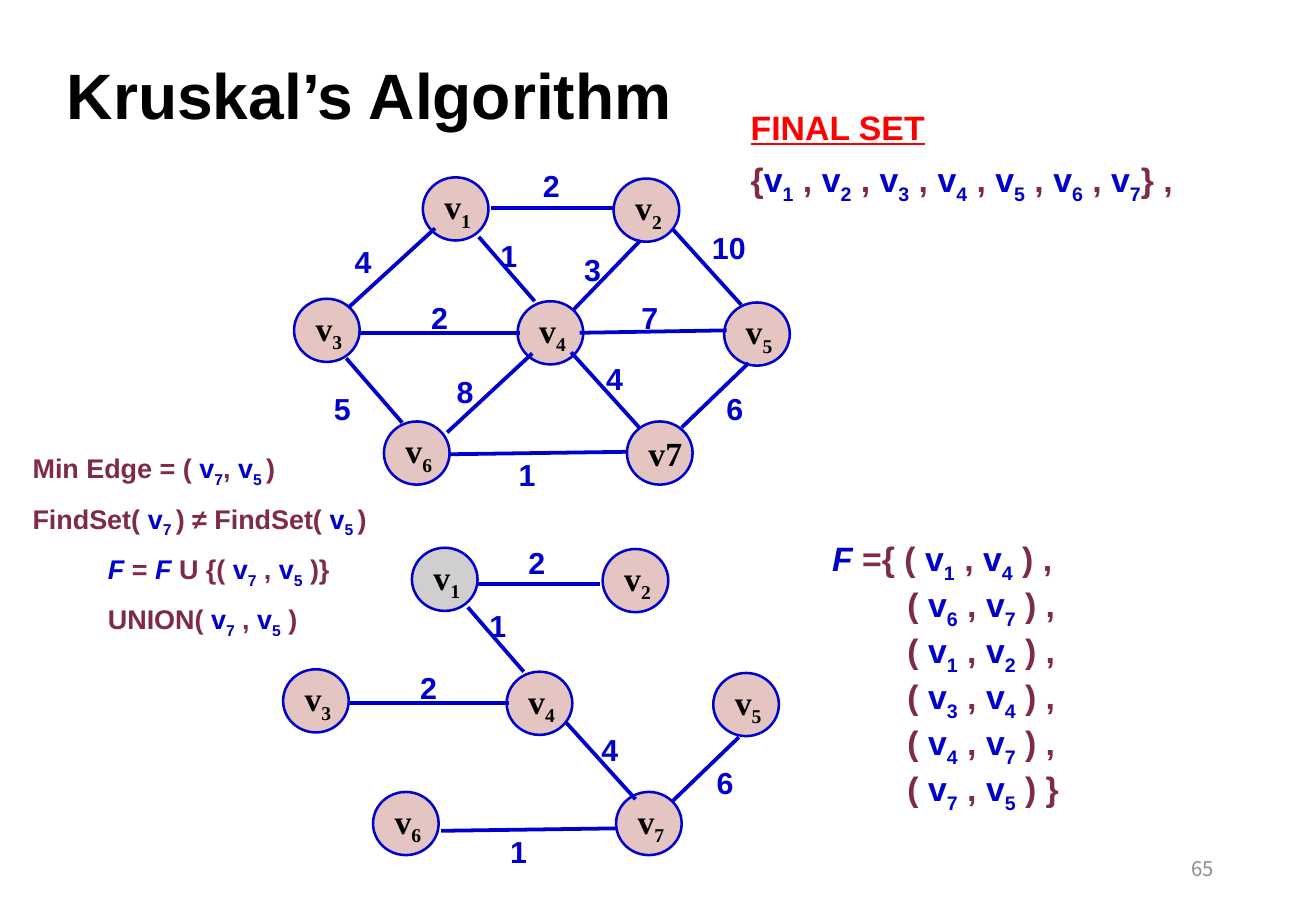
from lxml import etree
from pptx import Presentation
from pptx.dml.color import RGBColor
from pptx.enum import shapes, text
from pptx.oxml import ns
from pptx.util import Inches, Pt

COLORS = {"blue": "0000CC", "plum": "7E2A48", "pink": "E4C5C2", "grey": "D0CECE",
          "black": "000000", "red": "FF0000", "white": "FFFFFF", "number": "8C8C8C"}
NODE_W, NODE_H = 0.54, 0.52
NODES = {"v1": (1.08, 0.16), "v2": (2.65, 0.17), "v3": (0.02, 1.16), "v4": (1.86, 1.18),
         "v5": (3.56, 1.19), "v6": (0.76, 2.17), "v7": (2.76, 2.17)}
EDGES = {
    "12": ("2", (1.64, 0.41), (2.66, 0.41), (1.97, 0.03)),
    "34": ("2", (0.55, 1.44), (1.88, 1.44), (1.05, 1.11)),
    "45": ("7", (2.37, 1.44), (3.58, 1.42), (2.78, 1.11)),
    "67": ("1", (1.3, 2.44), (2.75, 2.42), (1.77, 2.41)),
    "13": ("4", (0.47, 1.23), (1.18, 0.58), (0.42, 0.65)),
    "46": ("8", (1.28, 2.26), (1.98, 1.61), (1.26, 1.72)),
    "57": ("6", (3.21, 2.22), (3.76, 1.69), (3.48, 1.86)),
    "24": ("3", (2.32, 1.25), (2.87, 0.68), (2.31, 0.72)),
    "36": ("5", (0.91, 2.18), (0.45, 1.65), (0.25, 1.86)),
    "47": ("4", (2.87, 2.23), (2.3, 1.6), (2.49, 1.62)),
    "25": ("10", (3.7, 1.21), (3.13, 0.58), (3.36, 0.54)),
    "14": ("1", (2, 1.18), (1.54, 0.65), (1.62, 0.6)),
}
TREE_SHIFTS = {"14": (0, 0), "12": (-0.03, 0.05), "34": (0, 0), "67": (0.02, 0.05),
               "47": (0.05, 0), "57": (0.01, 0.03)}
CHOSEN_EDGES = ["14", "67", "12", "34", "47", "75"]


def rgb(name):
    """Look up a colour by name."""
    return RGBColor.from_string(COLORS[name])


def add_run(p, words, color, size, sub=False, **extra):
    """Add one formatted run to a paragraph."""
    r = p.add_run()
    r.text = words
    for key, value in {"name": "Arial", "size": Pt(size), "bold": True, **extra}.items():
        setattr(r.font, key, value)
    r.font.color.rgb = rgb(color)
    if sub:
        r.font._element.set("baseline", "-25000")


def add_math(p, line, size):
    """Write a line whose symbols stand between bars."""
    for i, part in enumerate(line.split("|")):
        if i % 2 == 0:
            if part:
                add_run(p, part, "plum", size)
        elif part == "F":
            add_run(p, part, "blue", size, italic=True)
        else:
            add_run(p, part[0], "blue", size)
            add_run(p, part[1:], "blue", size, sub=True)


def add_box(s, box):
    """Add an unwrapped text box and return it."""
    sp = s.shapes.add_textbox(*map(Inches, box))
    sp.text_frame.word_wrap = False
    return sp


def add_lines(tf, lines, size, gap=0):
    """Fill a text frame with (indent, line) pairs."""
    for i, (indent, line) in enumerate(lines):
        p = tf.add_paragraph() if i else tf.paragraphs[0]
        if indent:
            p._p.get_or_add_pPr().set("marL", str(Inches(indent)))
        if i and gap:
            p.space_before = Pt(gap)
        add_math(p, line, size)


def draw_node(s, x, y, name, fill, sub):
    """Draw one vertex."""
    sp = s.shapes.add_shape(shapes.MSO_SHAPE.OVAL, *map(Inches, (x, y, NODE_W, NODE_H)))
    sp.shadow.inherit = False
    sp.fill.solid()
    sp.fill.fore_color.rgb = rgb(fill)
    sp.line.color.rgb = rgb("blue")
    sp.line.width = Pt(1.5)
    tf = sp.text_frame
    tf.word_wrap = False
    tf.vertical_anchor = text.MSO_ANCHOR.MIDDLE
    p = tf.paragraphs[0]
    p.alignment = text.PP_ALIGN.LEFT
    parts = [(name[0], False), (name[1:], True)] if sub else [(name, False)]
    for words, lowered in parts:
        add_run(p, words, "black", 20, sub=lowered, name="Times New Roman")


def draw_edge(s, x, y, weight, start, end, label):
    """Draw one edge and its weight."""
    ends = [Inches(v) for px, py in (start, end) for v in (x + px, y + py)]
    c = s.shapes.add_connector(shapes.MSO_CONNECTOR.STRAIGHT, *ends)
    c.line.color.rgb = rgb("blue")
    c.line.width = Pt(2.25)
    etree.SubElement(c._element.spPr, ns.qn("a:effectLst"))
    width = 0.2 + 0.14 * len(weight)
    sp = add_box(s, (x + label[0], y + label[1], width, 0.4))
    add_run(sp.text_frame.paragraphs[0], weight, "blue", 18)


def draw_graph(s, x, y, shifts, fills, plain=()):
    """Draw the vertices and the chosen edges from a top-left corner."""
    for name, (nx, ny) in NODES.items():
        draw_node(s, x + nx, y + ny, name, fills.get(name, "pink"), name not in plain)
    for key, (dx, dy) in shifts.items():
        draw_edge(s, x + dx, y + dy, *EDGES[key])


def draw_title(s, box):
    """Place the slide title."""
    sp = s.shapes.title
    for key, value in zip(("left", "top", "width", "height"), box):
        setattr(sp, key, Inches(value))
    tf = sp.text_frame
    frame = {"vertical_anchor": text.MSO_ANCHOR.BOTTOM, "word_wrap": True,
             "auto_size": text.MSO_AUTO_SIZE.NONE,
             "margin_left": Inches(0.05), "margin_right": Inches(0.05),
             "margin_top": 0, "margin_bottom": 0}
    for key, value in frame.items():
        setattr(tf, key, value)
    p = tf.paragraphs[0]
    p.alignment = text.PP_ALIGN.LEFT
    add_run(p, "Kruskal’s Algorithm", "black", 38)


def draw_step(s, box):
    """Write the current step of the algorithm."""
    lines = [(0, "Min Edge = ( |v7|, |v5 |)"),
             (0, "FindSet( |v7 |) ≠ FindSet( |v5 |)"),
             (0.62, "|F| = |F| U {( |v7| , |v5| )}"),
             (0.62, "UNION( |v7| , |v5| )")]
    add_lines(add_box(s, box).text_frame, lines, 16, gap=8)


def draw_forest_set(s, box):
    """List the edges chosen so far."""
    last = len(CHOSEN_EDGES) - 1
    lines = []
    for i, (a, b) in enumerate(CHOSEN_EDGES):
        opening = "( " if i else "|F| ={ ( "
        closing = " ) }" if i == last else " ) ,"
        lines.append((0.62 if i else 0, f"{opening}|v{a}| , |v{b}|{closing}"))
    add_lines(add_box(s, box).text_frame, lines, 20)


def draw_final_set(s, box):
    """Write the final vertex set under its heading."""
    sp = add_box(s, box)
    sp.fill.solid()
    sp.fill.fore_color.rgb = rgb("white")
    tf = sp.text_frame
    add_run(tf.paragraphs[0], "FINAL SET", "red", 20, underline=True)
    p = tf.add_paragraph()
    p.space_before = Pt(7)
    add_math(p, "{" + " , ".join(f"|{name}|" for name in NODES) + "} ,", 20)


def draw_number(s, box):
    """Write the slide number."""
    tf = add_box(s, box).text_frame
    tf.word_wrap = True
    tf.vertical_anchor = text.MSO_ANCHOR.MIDDLE
    p = tf.paragraphs[0]
    p.alignment = text.PP_ALIGN.RIGHT
    add_run(p, "65", "number", 12, name="Noto Sans CJK SC", bold=False)


def main():
    """Build and save the slide."""
    prs = Presentation()
    prs.slide_width, prs.slide_height = Inches(10.83), Inches(7.5)
    s = prs.slides.add_slide(prs.slide_layouts[5])
    draw_number(s, (7.65, 6.95, 2.44, 0.4))
    draw_title(s, (0.5, 0.17, 7.92, 0.92))
    draw_graph(s, 2.4, 1.3, dict.fromkeys(EDGES, (0, 0)), {}, plain=("v7",))
    draw_graph(s, 2.31, 4.35, TREE_SHIFTS, {"v1": "grey"})
    draw_step(s, (0.17, 3.67, 3.04, 1.52))
    draw_forest_set(s, (6.75, 4.38, 2.1, 2.46))
    draw_final_set(s, (6.08, 0.83, 3.86, 0.88))
    prs.save("out.pptx")


if __name__ == "__main__":
    main()
